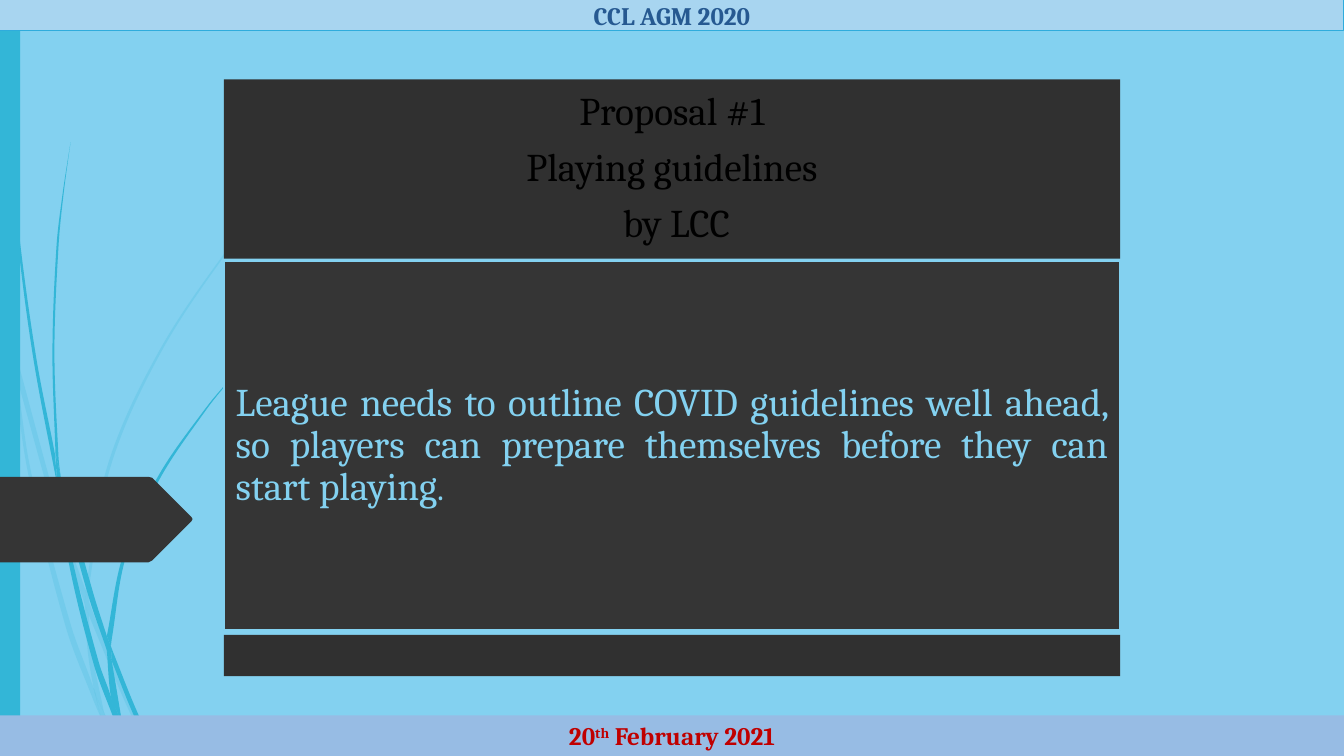
import math

import pptx
import pptx.util
import pptx.dml.color
import pptx.enum.shapes
import pptx.enum.text
import pptx.oxml
import pptx.oxml.ns

Cm, Pt = pptx.util.Cm, pptx.util.Pt
RGB = pptx.dml.color.RGBColor
ALIGN = pptx.enum.text.PP_ALIGN
ANCHOR = pptx.enum.text.MSO_ANCHOR
RECT = pptx.enum.shapes.MSO_SHAPE.RECTANGLE
qn, NS = pptx.oxml.ns.qn, pptx.oxml.ns.nsdecls("a")

SKY = RGB(0x83, 0xD1, 0xF0)
TEAL = RGB(0x33, 0xB6, 0xD7)
PALE = RGB(0xA8, 0xD5, 0xF0)
EDGE = RGB(0x2F, 0xAC, 0xDC)
BAND = RGB(0x97, 0xBC, 0xE4)
NAVY = RGB(0x26, 0x59, 0x91)
RED = RGB(0xC0, 0x00, 0x00)
BLACK = RGB(0x00, 0x00, 0x00)
DARK = RGB(0x30, 0x30, 0x30)
GREY = RGB(0x35, 0x35, 0x35)

WIDE, HIGH = 33.86, 19.05
INCH = 2.54

# Grass blades in inches: the points of one side, then of the other side
FAINT = [
    ([(.11, 3.5), (.09, 3.22), (0, 2.82)], [(0, 2.99), (.1, 3.44)]),
    ([(.17, 3.76), (.58, 5.22), (.84, 5.99)],
     [(.85, 5.86), (.62, 5.2), (.14, 3.45)]),
    ([(.88, 6.1), (1.23, 6.94), (1.5, 7.51)],
     [(1.55, 7.51), (1.27, 6.92), (.92, 6.07), (.88, 5.96)]),
    ([(1.05, 7.11), (1.19, 7.51)], [(1.24, 7.51)]),
    ([(.11, 3.5), (.28, 4.7), (.65, 6.21), (.92, 6.93), (1.01, 7.14)],
     [(.99, 7.07), (.93, 6.83), (.7, 6.19), (.31, 4.69), (.17, 3.76)]),
    ([(.84, 5.99), (.87, 6.46), (.93, 6.83), (.96, 6.92), (1.05, 7.11)],
     [(1.03, 7.06), (.91, 6.46), (.88, 6.1)]),
    ([(.85, 5.86), (.85, 5.84), (1.07, 4.61), (1.58, 3.48), (2.28, 2.44),
      (2.68, 1.97), (2.89, 1.75), (3.12, 1.53)],
     [(3.12, 1.54), (2.9, 1.75), (2.68, 1.98), (2.29, 2.45), (1.6, 3.49),
      (1.1, 4.62), (.88, 5.84), (.88, 5.96)]),
    ([(1.01, 7.14), (1.14, 7.51)], [(1.19, 7.51)]),
    ([(.88, 6.1), (.88, 5.96)], [(.85, 5.86), (.84, 5.99)]),
    ([(.93, 6.83), (.99, 7.07), (1.01, 7.14), (1.19, 7.51)],
     [(1.05, 7.11), (.96, 6.92)]),
]
BOLD = [
    ([(.03, 0), (.04, .48), (.07, 1.1), (.17, 2.33), (.33, 3.55),
      (.56, 4.77), (.57, 4.81)],
     [(.55, 4.57), (.55, 4.53), (.36, 3.55), (.19, 2.32), (.08, 1.09),
      (.05, .48), (.04, 0)]),
    ([(.64, 5.05), (.88, 5.92), (1.06, 6.45)],
     [(1.06, 6.31), (.93, 5.9), (.6, 4.72)]),
    ([(1.11, 6.56), (1.32, 7.08), (1.52, 7.49)],
     [(1.57, 7.49), (1.36, 7.06), (1.13, 6.49), (1.1, 6.41)]),
    ([(.57, 4.77), (.68, 5.57), (.93, 6.59), (1.11, 7.08), (1.17, 7.22)],
     [(1.16, 7.17), (1.1, 6.91), (.98, 6.57), (.72, 5.56), (.64, 5.05)]),
    ([(.6, 4.72), (.58, 4.53), (.54, 3.49), (.58, 2.45), (.63, 1.93),
      (.7, 1.41)],
     [(.7, 1.41), (.62, 1.93), (.56, 2.45), (.52, 3.49), (.55, 4.49)]),
    ([(1.22, 7.19), (1.33, 7.49)], [(1.36, 7.49)]),
    ([(.55, 4.49), (.57, 4.77), (.64, 5.05)], [(.6, 4.72)]),
    ([(1.06, 6.31), (1.22, 5.51), (1.56, 4.74), (2.04, 4.05), (2.31, 3.73),
      (2.45, 3.58), (2.6, 3.44)],
     [(2.61, 3.44), (2.45, 3.59), (2.31, 3.74), (2.05, 4.06), (1.58, 4.76),
      (1.25, 5.52), (1.11, 6.33), (1.1, 6.41)]),
    ([(1.17, 7.22), (1.27, 7.49)], [(1.31, 7.49)]),
    ([(1.06, 6.45), (1.1, 6.91), (1.16, 7.06), (1.22, 7.19)],
     [(1.21, 7.16), (1.11, 6.56)]),
    ([(1.06, 6.31), (1.06, 6.45), (1.11, 6.56)], [(1.1, 6.41)]),
    ([(1.1, 6.91), (1.17, 7.22), (1.3, 7.49)],
     [(1.33, 7.49), (1.22, 7.19), (1.16, 7.06)]),
]
ARROW = [(0, 4.73), (1.47, 4.73), (1.51, 4.74), (1.9, 5.13), (1.91, 5.15),
         (1.9, 5.17), (1.51, 5.56), (1.47, 5.58), (0, 5.58)]


def bend(steps):
    """Turn a run of straight steps into a soft curve."""
    dots = [(int(p.get("x")), int(p.get("y"))) for p in (s[0] for s in steps)]
    last = len(dots) - 1
    turns = []
    for i in range(last + 1):
        (ax, ay), (bx, by) = dots[max(i - 1, 0)], dots[min(i + 1, last)]
        turns.append(math.atan2(by - ay, bx - ax))
    for i, step in enumerate(steps[1:]):
        a, b = dots[i:i + 2]
        arm = math.dist(a, b) / 3
        pts = [(a[0] + arm * math.cos(turns[i]), a[1] + arm * math.sin(turns[i])),
               (b[0] - arm * math.cos(turns[i + 1]), b[1] - arm * math.sin(turns[i + 1])), b]
        marks = "".join(f'<a:pt x="{round(x)}" y="{round(y)}"/>' for x, y in pts)
        curve = pptx.oxml.parse_xml(f"<a:cubicBezTo {NS}>{marks}</a:cubicBezTo>")
        step.getparent().replace(step, curve)


class Deck:
    font = "Cambria"

    def __init__(self):
        self.file = pptx.Presentation()
        self.file.slide_width, self.file.slide_height = Cm(WIDE), Cm(HIGH)
        self.slide = self.file.slides.add_slide(self.file.slide_layouts[6])
        back = self.slide.background.fill
        back.solid()
        back.fore_color.rgb = SKY

    def paint(self, shape, fill, line=None, width=1, alpha=None):
        shape.shadow.inherit = False
        shape.fill.solid()
        shape.fill.fore_color.rgb = fill
        if alpha:
            tint = shape._element.spPr.find(".//" + qn("a:srgbClr"))
            tint.append(pptx.oxml.parse_xml(f'<a:alpha {NS} val="{alpha * 1000}"/>'))
        if line is None:
            shape.line.fill.background()
        else:
            shape.line.color.rgb = line
            shape.line.width = Pt(width)
        return shape

    def box(self, x, y, w, h, fill, **look):
        shape = self.slide.shapes.add_shape(RECT, Cm(x), Cm(y), Cm(w), Cm(h))
        return self.paint(shape, fill, **look)

    def free(self, dots, fill, **look):
        dots = [(Cm(x * INCH), Cm(y * INCH)) for x, y in dots]
        pen = self.slide.shapes.build_freeform(*dots[0])
        pen.add_line_segments(dots[1:], close=True)
        return self.paint(pen.convert_to_shape(), fill, **look)

    def blade(self, one, two, alpha):
        shape = self.free(one + two, TEAL, alpha=alpha)
        steps = [s for s in shape._element.spPr.find(".//" + qn("a:path")) if len(s)]
        bend(steps[:len(one)])
        bend(steps[len(one):len(one + two)])

    def note(self, x, y, w, h, paras, color, size, **form):
        shape = self.slide.shapes.add_textbox(Cm(x), Cm(y), Cm(w), Cm(h))
        self.text(shape, paras, color, size, **form)

    def text(self, shape, paras, color, size, bold=False, pad=None, **form):
        """Each paragraph is a list of (text, format) runs."""
        frame = shape.text_frame
        frame.word_wrap = True
        frame.vertical_anchor = ANCHOR.MIDDLE
        if pad:
            for side in ("left", "right", "top", "bottom"):
                setattr(frame, "margin_" + side, Cm(pad))
        for i, runs in enumerate(paras):
            para = frame.add_paragraph() if i else frame.paragraphs[0]
            for key, value in form.items():
                setattr(para, key, value)
            for words, extra in runs:
                run = para.add_run()
                run.text = words
                look = {"name": self.font, "size": Pt(extra.get("size", size)), "bold": bold}
                for key, value in look.items():
                    setattr(run.font, key, value)
                run.font.color.rgb = color
                if "base" in extra:
                    run._r.get_or_add_rPr().set("baseline", str(extra["base"] * 1000))


def main():
    deck = Deck()

    # Grass, side bar and arrow
    for blades, alpha in ((FAINT, 20), (BOLD, None)):
        for one, two in blades:
            deck.blade(one, two, alpha)
    deck.box(0, 0, .51, HIGH, TEAL)
    deck.free(ARROW, GREY)

    # Header and footer bands
    head = deck.box(0, 0, WIDE, .76, PALE, line=EDGE, width=.75)
    deck.text(head, [[("CCL AGM 2020", {})]], NAVY, 18, True, alignment=ALIGN.CENTER)
    foot = deck.box(0, 18.03, WIDE, 1.02, BAND)
    date = [("20", {}), ("th", {"base": 30}), (" February 2021", {})]
    deck.text(foot, [date], RED, 18, True, alignment=ALIGN.CENTER)

    # Proposal panels
    form = {"pad": .3, "line_spacing": .9, "space_after": Pt(9.8)}
    top, mid, low = [(5.64, y, 22.58, h) for y, h in ((2, 4.52), (6.58, 9.3), (16, 1.04))]
    lines = ("Proposal #1", "Playing guidelines", " by LCC")
    deck.box(*top, DARK)
    deck.note(*top, [[(line, {})] for line in lines], BLACK, 28, alignment=ALIGN.CENTER, **form)
    plea = ("League needs to outline COVID guidelines well ahead, so players can "
            "prepare themselves before they can start playing")
    deck.box(*mid, GREY, line=SKY, width=1.25)
    deck.note(*mid, [[(plea, {}), (".", {"size": 24})]], SKY, 28,
              alignment=ALIGN.JUSTIFY, **form)
    deck.box(*low, DARK)

    deck.file.save("out.pptx")


if __name__ == "__main__":
    main()
